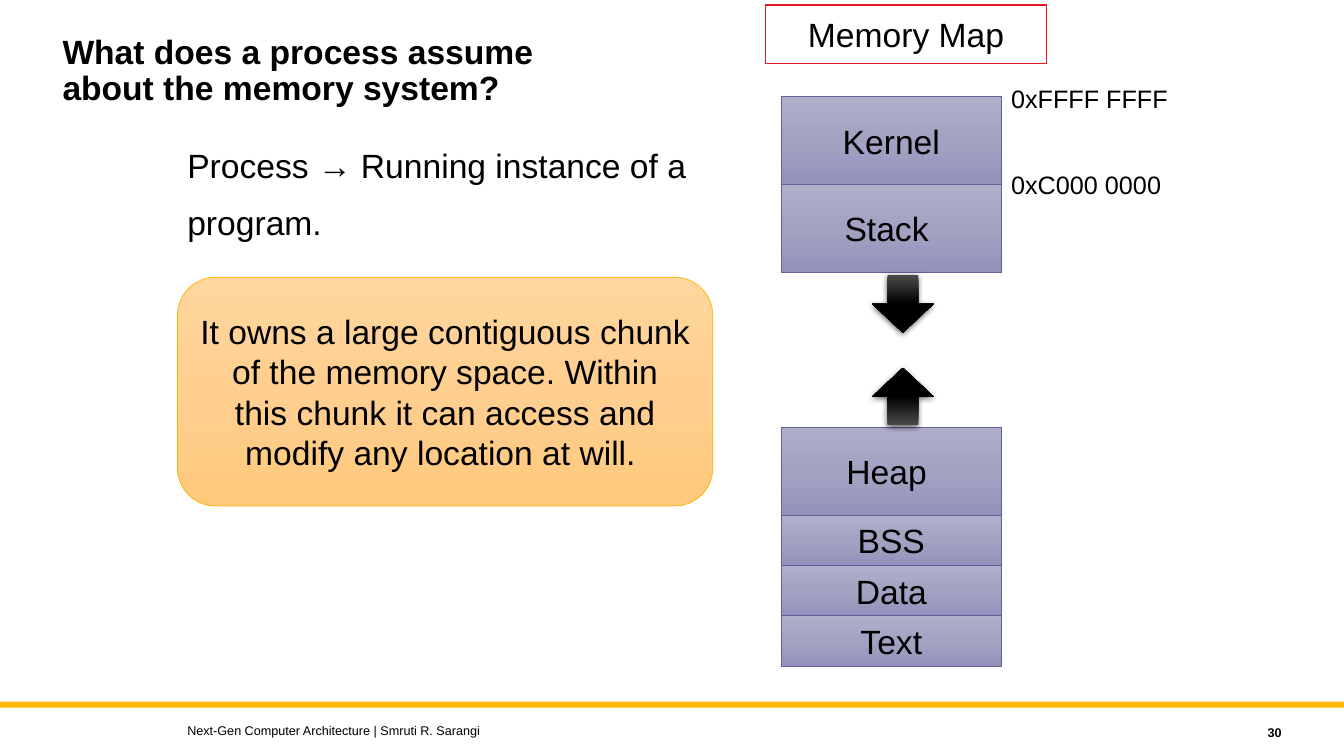
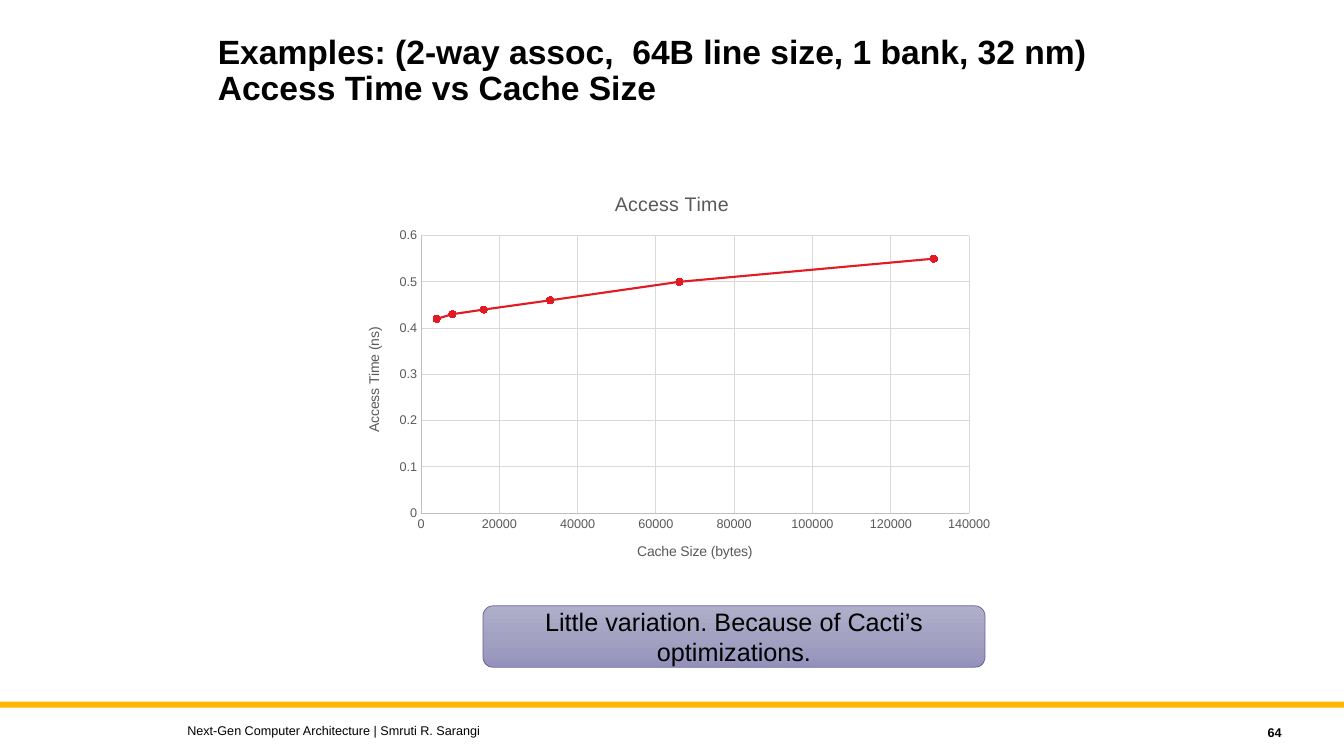
from lxml.etree import SubElement
from pptx import Presentation
from pptx.chart.data import XyChartData
from pptx.dml.color import RGBColor
from pptx.enum.chart import XL_CHART_TYPE, XL_MARKER_STYLE, XL_TICK_MARK
from pptx.enum.shapes import MSO_SHAPE
from pptx.enum.text import MSO_ANCHOR, MSO_AUTO_SIZE, PP_ALIGN
from pptx.oxml.ns import qn
from pptx.util import Inches, Pt

# Shared style
FONT = "Arial"
BLACK, WHITE, GOLD, RED = "000000", "FFFFFF", "FFB600", "E21A23"
GREY, AXIS_GREY, GRID_GREY = "595959", "BFBFBF", "D9D9D9"
PURPLE_LINE = "625D9C"
PURPLE = ("B0AFCA", "A4A2C2", "9492BB")
ORANGE = ("FFD69E", "FFCF90", "FFC97C")
DARK = ("4B4B4B", "000000", "000000")
FOOTER = "Next-Gen Computer Architecture | Smruti R. Sarangi"

# Memory slide content
PROCESS_LINES = ["Process → Running instance of a", "program."]
OWNERSHIP_LINES = [
    "It owns a large contiguous chunk of the memory space. Within",
    "this chunk it can access and modify any location at will. ",
]
MAP_LEFT, MAP_WIDTH = 7.75, 2.18
REGION_STACKS = [  # top, then name and height of each region downwards
    (0.96, [("Kernel", 0.87), ("Stack ", 0.87)]),
    (4.24, [("Heap ", 0.87), ("BSS", 0.5), ("Data", 0.5), ("Text", 0.5)]),
]
ADDRESSES = [("0xFFFF FFFF", 0.78), ("0xC000 0000", 1.63)]
GROWTH_ARROWS = [(2.73, False), (3.65, True)]  # top, points up

# Cache slide content
ACCESS_TIMES = [(4000, 0.42), (8000, 0.43), (16000, 0.44),
                (33000, 0.46), (66000, 0.5), (131000, 0.55)]
PLOT_AREA = {"x": 0.12, "y": 0.15, "w": 0.83, "h": 0.68}


def color(value):
    return RGBColor.from_string(value)


def place(*lengths):
    return [Inches(length) for length in lengths]


def style_font(font, size, value=BLACK, bold=False):
    font.name, font.size, font.bold = FONT, Pt(size), bold
    font.color.rgb = color(value)


def write(frame, lines, size, align=PP_ALIGN.LEFT, anchor=MSO_ANCHOR.TOP,
          bold=False, gap=0, spacing=None):
    frame.word_wrap = True
    frame.vertical_anchor = anchor
    for index, line in enumerate(lines):
        para = frame.add_paragraph() if index else frame.paragraphs[0]
        para.text = line
        para.alignment = align
        para.space_before = Pt(gap if index else 0)
        if spacing:
            para.line_spacing = spacing
        style_font(para.font, size, bold=bold)


def add_text(page, at, lines, size, **options):
    box = page.shapes.add_textbox(*place(*at))
    write(box.text_frame, lines, size, **options)
    return box


def paint(shape, fill):
    """Fill with one colour, or with three colours from top to bottom."""
    if isinstance(fill, str):
        shape.fill.solid()
        shape.fill.fore_color.rgb = color(fill)
        return
    shape.fill.gradient()
    shape.fill.gradient_angle = 270
    stops = next(shape.element.spPr.iter(qn("a:gsLst")))
    for stop in list(stops):
        stops.remove(stop)
    for position, value in zip((0, 50000, 100000), fill):
        stop = SubElement(stops, qn("a:gs"), pos=str(position))
        SubElement(stop, qn("a:srgbClr"), val=value)


def add_block(page, kind, at, fill, line=None, width=0.5, lines=(), size=24):
    shape = page.shapes.add_shape(kind, *place(*at))
    shape.shadow.inherit = False
    paint(shape, fill)
    if line:
        shape.line.color.rgb = color(line)
        shape.line.width = Pt(width)
    else:
        shape.line.fill.background()
    write(shape.text_frame, lines, size, PP_ALIGN.CENTER, MSO_ANCHOR.MIDDLE)
    return shape


def add_page(deck, title_text, title_at, number):
    page = deck.slides.add_slide(deck.slide_layouts[5])
    title = page.shapes.title
    title.left, title.top, title.width, title.height = place(*title_at)
    title.text_frame.auto_size = MSO_AUTO_SIZE.NONE
    write(title.text_frame, [title_text], 24, bold=True, spacing=0.9)
    add_text(page, (1.76, 7.12, 8, 0.25), [FOOTER], 9, anchor=MSO_ANCHOR.MIDDLE)
    add_text(page, (11.41, 7.14, 1.4, 0.25), [str(number)], 9, bold=True,
             align=PP_ALIGN.RIGHT, anchor=MSO_ANCHOR.MIDDLE)
    return page


def add_band_to_layout(page):
    band = add_block(page, MSO_SHAPE.RECTANGLE, (0, 6.96, 13.33, 0.06), GOLD)
    page.slide_layout.shapes.element.append(band.element)


def add_growth_arrow(page, top, points_up):
    arrow = add_block(page, MSO_SHAPE.DOWN_ARROW, (8.65, top, 0.61, 0.57), DARK)
    if points_up:
        arrow.element.spPr.find(qn("a:xfrm")).set("flipV", "1")
    effects = arrow.element.spPr.find(qn("a:effectLst"))
    shadow = SubElement(effects, qn("a:outerShdw"), blurRad=str(Pt(4.5)),
                        dist=str(Pt(1.5)), dir="5400000", rotWithShape="0")
    shade = SubElement(shadow, qn("a:srgbClr"), val=BLACK)
    SubElement(shade, qn("a:alpha"), val="63000")


def build_memory_page(deck):
    page = add_page(deck, "What does a process assume \vabout the memory system?",
                    (0.52, 0.3, 10, 0.9), 30)
    add_band_to_layout(page)
    add_text(page, (1.76, 1.39, 7.5, 0.55), PROCESS_LINES, 24, gap=12)
    add_block(page, MSO_SHAPE.ROUNDED_RECTANGLE, (1.76, 2.75, 5.31, 2.27),
              ORANGE, GOLD, lines=OWNERSHIP_LINES)

    # Memory map
    add_block(page, MSO_SHAPE.RECTANGLE, (7.59, 0.05, 2.79, 0.58),
              WHITE, RED, 1, ["Memory Map"])
    for top, regions in REGION_STACKS:
        for name, height in regions:
            add_block(page, MSO_SHAPE.RECTANGLE, (MAP_LEFT, top, MAP_WIDTH, height),
                      PURPLE, PURPLE_LINE, lines=[name])
            top += height
    for address, top in ADDRESSES:
        add_text(page, (MAP_LEFT + MAP_WIDTH, top, 2.18, 0.4), [address], 18)
    for top, points_up in GROWTH_ARROWS:
        add_growth_arrow(page, top, points_up)


def title_chart_part(part, text, size):
    frame = part.text_frame
    frame.text = text
    style_font(frame.paragraphs[0].font, size, GREY)


def style_axis(axis, title, maximum, step):
    axis.minimum_scale, axis.maximum_scale, axis.major_unit = 0, maximum, step
    axis.major_tick_mark = axis.minor_tick_mark = XL_TICK_MARK.NONE
    axis.has_major_gridlines = True
    for line, value in ((axis.format.line, AXIS_GREY),
                        (axis.major_gridlines.format.line, GRID_GREY)):
        line.color.rgb = color(value)
        line.width = Pt(0.75)
    style_font(axis.tick_labels.font, 9, GREY)
    title_chart_part(axis.axis_title, title, 10)


def fix_plot_area(chart):
    area = next(chart.element.iter(qn("c:plotArea")))
    for old in area.findall(qn("c:layout")):
        area.remove(old)
    layout = SubElement(area, qn("c:layout"))
    area.insert(0, layout)
    manual = SubElement(layout, qn("c:manualLayout"))
    SubElement(manual, qn("c:layoutTarget"), val="inner")
    for side in "xy":
        SubElement(manual, qn(f"c:{side}Mode"), val="edge")
    for side, share in PLOT_AREA.items():
        SubElement(manual, qn(f"c:{side}"), val=str(share))


def build_cache_page(deck):
    page = add_page(
        deck,
        "Examples: (2-way assoc,  64B line size, 1 bank, 32 nm) Access Time vs Cache Size",
        (2.06, 0.3, 9.31, 0.9), 64)

    # Access time chart
    data = XyChartData()
    points = data.add_series("Access Time")
    for cache_size, access_time in ACCESS_TIMES:
        points.add_data_point(cache_size, access_time)
    chart = page.shapes.add_chart(XL_CHART_TYPE.XY_SCATTER_LINES,
                                  *place(3.39, 1.73, 6.55, 4.05), data).chart
    style_font(chart.font, 10)
    chart.has_legend = False
    chart.has_title = True
    title_chart_part(chart.chart_title, "Access Time", 14)
    chart.chart_title.include_in_layout = False
    style_axis(chart.category_axis, "Cache Size (bytes)", 140000, 20000)
    style_axis(chart.value_axis, "Access Time (ns)", 0.6, 0.1)
    fix_plot_area(chart)

    plot = chart.plots[0]
    plot.vary_by_categories = False
    series = plot.series[0]
    series.smooth = False
    series.format.line.color.rgb = color(RED)
    series.format.line.width = Pt(1.5)
    series.marker.style = XL_MARKER_STYLE.CIRCLE
    series.marker.size = 5
    paint(series.marker.format, RED)
    series.marker.format.line.color.rgb = color(RED)

    add_block(page, MSO_SHAPE.ROUNDED_RECTANGLE, (4.79, 6.01, 4.98, 0.61),
              PURPLE, PURPLE_LINE, size=18,
              lines=["Little variation. Because of Cacti’s optimizations."])


def main():
    deck = Presentation()
    deck.slide_width, deck.slide_height = place(13.33, 7.5)
    build_memory_page(deck)
    build_cache_page(deck)
    deck.save("out.pptx")


if __name__ == "__main__":
    main()
